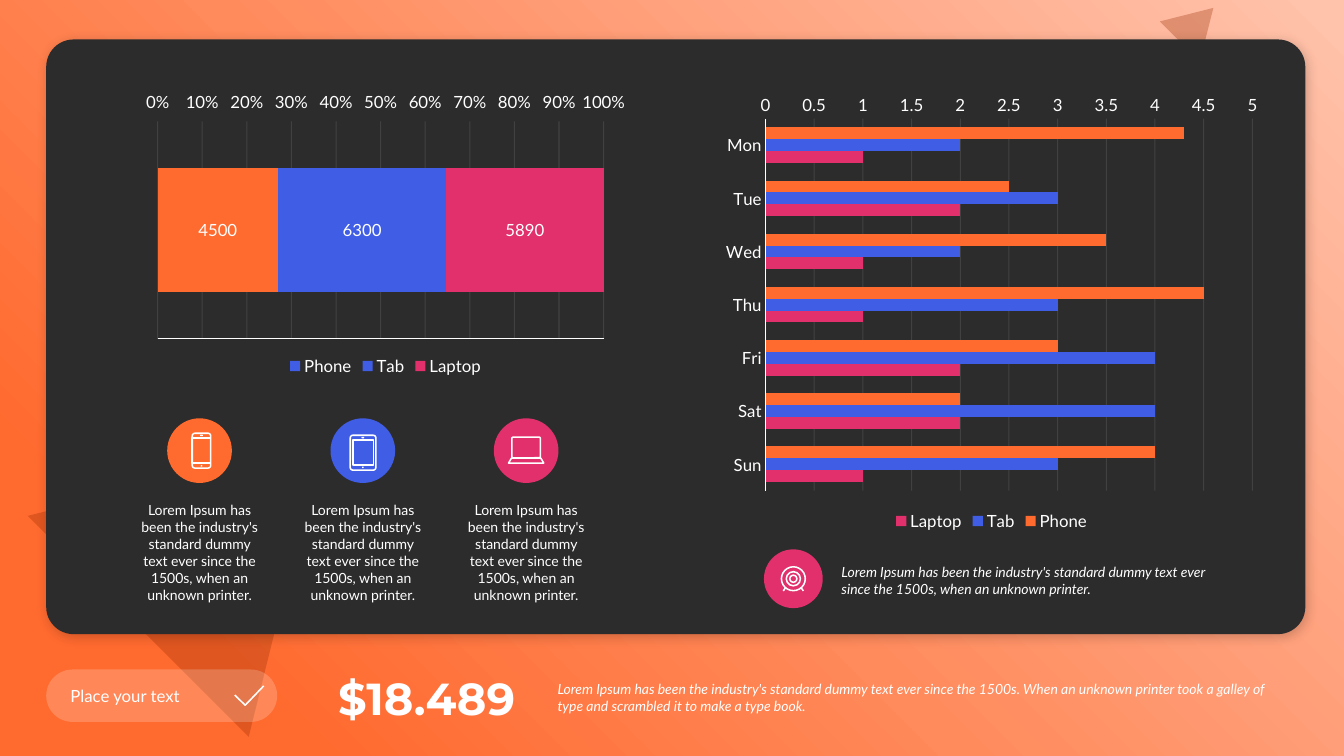
from dataclasses import dataclass

from lxml.etree import SubElement
from pptx import Presentation
from pptx.chart.data import CategoryChartData
from pptx.dml.color import RGBColor
from pptx.enum.chart import XL_CHART_TYPE as ChartType
from pptx.enum.chart import XL_LEGEND_POSITION as LegendSpot
from pptx.enum.chart import XL_TICK_LABEL_POSITION as LabelSpot
from pptx.enum.chart import XL_TICK_MARK as Tick
from pptx.enum.shapes import MSO_CONNECTOR as Connector
from pptx.enum.shapes import MSO_SHAPE as Preset
from pptx.enum.text import MSO_ANCHOR as Anchor
from pptx.enum.text import MSO_AUTO_SIZE as AutoSize
from pptx.enum.text import PP_ALIGN as Align
from pptx.oxml.ns import qn
from pptx.util import Inches, Pt

COLORS = {
    "orange": "FF6A2F", "peach": "FFC3AC", "rust": "972B00", "charcoal": "2C2C2C",
    "blue": "405DE6", "pink": "E1306C", "white": "FFFFFF", "black": "000000",
}
COLUMNS, ROWS = 160, 90  # square cells over the whole slide
CELL = Inches(7.5) / ROWS
STROKE = Pt(1.1)
DEVICE_TEXT = ("Lorem Ipsum has been the industry's standard dummy text ever since "
               "the 1500s, when an unknown printer.")
FOOTER_TEXT = ("Lorem Ipsum has been the industry's standard dummy text ever since the 1500s. "
               "When an unknown printer took a galley of type and scrambled it to make a type book.")


@dataclass(frozen=True)
class Box:
    x: float
    y: float
    w: float
    h: float

    def emu(self) -> tuple:
        return tuple(cells(v) for v in (self.x, self.y, self.w, self.h))


@dataclass(frozen=True)
class Mark:
    """One part of an icon; its box is measured from the centre of the disc."""
    preset: Preset
    box: Box
    filled: bool = False
    adj: float | None = None


@dataclass(frozen=True)
class Device:
    color: str
    marks: tuple


def cells(count: float) -> int:
    return round(count * CELL)


def rgb(name: str) -> RGBColor:
    return RGBColor.from_string(COLORS[name])


def set_alpha(element, percent: int) -> None:
    for color in element.iter(qn("a:srgbClr")):
        SubElement(color, qn("a:alpha"), val=str(percent * 1000))


def draw(preset, box: Box, fill=None, line=None, adj=None, alpha=None, rotation=0):
    shape = slide.shapes.add_shape(preset, *box.emu())
    shape.shadow.inherit = False
    shape.rotation = rotation
    if adj is not None:
        shape.adjustments[0] = adj
    if fill:
        shape.fill.solid()
        shape.fill.fore_color.rgb = rgb(fill)
    else:
        shape.fill.background()
    if line:
        shape.line.color.rgb = rgb(line)
        shape.line.width = STROKE
    else:
        shape.line.fill.background()
    if alpha:
        set_alpha(shape.element, alpha)
    return shape


def write(frame, text: str, size=10, font="Lato", bold=False, italic=False,
          align=Align.LEFT, anchor=Anchor.MIDDLE, after=0, fit=AutoSize.SHAPE_TO_FIT_TEXT) -> None:
    frame.text = text
    frame.word_wrap = True
    frame.auto_size = fit
    frame.vertical_anchor = anchor
    paragraph = frame.paragraphs[0]
    paragraph.alignment = align
    paragraph.space_after = Pt(after)
    face = paragraph.runs[0].font
    face.name, face.size, face.bold, face.italic = font, Pt(size), bold, italic
    face.color.rgb = rgb("white")


def add_text(box: Box, text: str, **fmt) -> None:
    write(slide.shapes.add_textbox(*box.emu()).text_frame, text, **fmt)


def add_disc(cx: float, cy: float, size: float, color: str, marks: tuple) -> None:
    """Draw a coloured disc with its icon."""
    draw(Preset.OVAL, Box(cx - size / 2, cy - size / 2, size, size), color)
    for mark in marks:
        box = Box(cx + mark.box.x, cy + mark.box.y, mark.box.w, mark.box.h)
        draw(mark.preset, box, fill="white" if mark.filled else None,
             line=None if mark.filled else "white", adj=mark.adj)


def add_bars(box: Box, kind, categories: list, series: dict, gap: int, number_format: str):
    data = CategoryChartData()
    data.categories = categories
    for name, (_, values) in series.items():
        data.add_series(name, values)
    chart = slide.shapes.add_chart(kind, *box.emu(), data).chart
    chart.has_title = False
    chart.font.name, chart.font.size = "Lato", Pt(12)
    chart.font.color.rgb = rgb("white")
    chart.has_legend = True
    chart.legend.position = LegendSpot.BOTTOM
    chart.legend.include_in_layout = False
    plot = chart.plots[0]
    plot.gap_width = gap
    plot.vary_by_categories = False
    for bars, (color, _) in zip(plot.series, series.values()):
        bars.format.fill.solid()
        bars.format.fill.fore_color.rgb = rgb(color)
        bars.invert_if_negative = False
    for axis in (chart.category_axis, chart.value_axis):
        axis.major_tick_mark = axis.minor_tick_mark = Tick.NONE
        axis.format.line.color.rgb = rgb("white")
    scale = chart.value_axis
    scale.tick_labels.number_format = number_format
    scale.tick_labels.number_format_is_linked = False
    scale.has_major_gridlines = True
    grid = scale.major_gridlines.format.line
    grid.color.rgb, grid.width = rgb("white"), Pt(0.75)
    for lines in chart.element.iter(qn("c:majorGridlines")):
        set_alpha(lines, 10)
    return chart


def paint_background() -> None:
    """Spread the gradient from the top right corner."""
    fill = slide.background.fill
    fill.gradient()
    for stop, color, place in zip(fill.gradient_stops, ("peach", "orange"), (0, 0.85)):
        stop.color.rgb, stop.position = rgb(color), place
    gradient = next(slide.element.iter(qn("a:gradFill")))
    gradient.remove(gradient.find(qn("a:lin")))
    spread = SubElement(gradient, qn("a:path"), {"path": "circle"})
    SubElement(spread, qn("a:fillToRect"), l="100000", b="100000")


def add_panel() -> None:
    panel = draw(Preset.ROUNDED_RECTANGLE, Box(5.5, 4.7, 149.9, 70.8), "charcoal", adj=0.046)
    effects = next(panel.element.iter(qn("a:effectLst")))
    shadow = SubElement(effects, qn("a:outerShdw"), blurRad=str(Pt(8)), dist=str(Pt(3)),
                        dir=str(45 * 60000), algn="tl", rotWithShape="0")
    SubElement(shadow, qn("a:srgbClr"), val=COLORS["black"])
    set_alpha(shadow, 20)


def add_usage_charts() -> None:
    totals = {"Phone": ("blue", [4500]), "Tab": ("blue", [6300]), "Laptop": ("pink", [5890])}
    share = add_bars(Box(16.2, 10.2, 59.4, 35.04), ChartType.BAR_STACKED_100, ["1"], totals, 75, "0%")
    share.category_axis.visible = False
    share.value_axis.tick_label_position = LabelSpot.HIGH
    stack = share.plots[0]
    stack.overlap = 100
    stack.has_data_labels = True
    stack.data_labels.show_value = True
    stack.data_labels.font.color.rgb = rgb("white")
    phone_bar = stack.series[0].points[0].format.fill
    phone_bar.solid()
    phone_bar.fore_color.rgb = rgb("orange")

    week = ["Mon", "Tue", "Wed", "Thu", "Fri", "Sat", "Sun"]
    daily = {"Phone": ("orange", [4.3, 2.5, 3.5, 4.5, 3, 2, 4]),
             "Tab": ("blue", [2, 3, 2, 3, 4, 4, 3]),
             "Laptop": ("pink", [1, 2, 1, 1, 2, 2, 1])}
    days = add_bars(Box(85.1, 10.2, 65.9, 53.5), ChartType.BAR_CLUSTERED, week, daily, 150, "General")
    days.category_axis.reverse_order = True
    days.value_axis.format.line.fill.background()


def add_target(cx: float, cy: float) -> None:
    rings = tuple(Mark(Preset.OVAL, Box(-r, -r, 2 * r, 2 * r)) for r in (1.42, 0.84, 0.42))
    add_disc(cx, cy, 7, "pink", rings)
    for side in (-1, 1):
        leg = slide.shapes.add_connector(
            Connector.STRAIGHT, cells(cx + side * 0.95), cells(cy + 1.1),
            cells(cx + side * 1.2), cells(cy + 1.45))
        leg.line.color.rgb, leg.line.width = rgb("white"), STROKE
        SubElement(leg.element.spPr, qn("a:effectLst"))


def add_check() -> None:
    start, *rest = [(cells(x), cells(y)) for x, y in ((27.95, 82.75), (29.2, 83.95), (31.4, 81.65))]
    builder = slide.shapes.build_freeform(*start)
    builder.add_line_segments(rest, close=False)
    check = builder.convert_to_shape()
    check.shadow.inherit = False
    check.fill.background()
    check.line.color.rgb, check.line.width = rgb("white"), STROKE


ROUND, RECT, OVAL = Preset.ROUNDED_RECTANGLE, Preset.RECTANGLE, Preset.OVAL
DEVICES = (
    Device("orange", (Mark(ROUND, Box(-0.87, -2.07, 2.2, 4.15), adj=0.14),
                      Mark(RECT, Box(-0.87, -1.5, 2.2, 3)),
                      Mark(ROUND, Box(0.05, -1.9, 0.36, 0.18), True, 0.5),
                      Mark(OVAL, Box(0.13, 1.72, 0.2, 0.2), True))),
    Device("blue", (Mark(ROUND, Box(-1.5, -1.83, 3.05, 4.15), adj=0.1),
                    Mark(RECT, Box(-1.2, -1.27, 2.45, 3)),
                    Mark(ROUND, Box(-0.17, -1.65, 0.34, 0.2), True, 0.5),
                    Mark(OVAL, Box(-0.1, 1.9, 0.2, 0.2), True))),
    Device("pink", (Mark(ROUND, Box(-1.7, -1.6, 3.4, 2.45), adj=0.06),
                    Mark(Preset.TRAPEZOID, Box(-2.1, 0.88, 4.2, 0.6), adj=0.6))),
)

deck = Presentation()
deck.slide_width, deck.slide_height = cells(COLUMNS), cells(ROWS)
slide = deck.slides.add_slide(deck.slide_layouts[5])
paint_background()
amount = slide.shapes.title
amount.left, amount.top, amount.width, amount.height = Box(38.3, 79.2, 24.24, 7.7).emu()
write(amount.text_frame, "$18.489", size=32, font="Montserrat", bold=True,
      align=Align.RIGHT, fit=AutoSize.NONE)
for corner in (Box(8.76, 48.24, 37.2, 30.84), Box(139.1, 0.12, 6.72, 5.64)):
    draw(Preset.ISOSCELES_TRIANGLE, corner, "rust", alpha=30, rotation=45)
add_panel()
add_usage_charts()
for order, device in enumerate(DEVICES):
    middle = 23.76 + 19.44 * order
    add_disc(middle, 53.65, 7.7, device.color, device.marks)
    add_text(Box(middle - 8.16, 59.16, 16.32, 13.3), DEVICE_TEXT,
             align=Align.CENTER, anchor=Anchor.TOP, after=6)
add_target(94.45, 68.9)
add_text(Box(99, 66.4, 48.84, 5.3), DEVICE_TEXT, italic=True)
draw(ROUND, Box(5.5, 79.7, 27.5, 6.24), "white", adj=0.5, alpha=20)
add_check()
add_text(Box(7.2, 81, 22.56, 3.6), "Place your text", size=12)
add_text(Box(65.2, 80.4, 87.96, 5.3), FOOTER_TEXT, italic=True, after=6)
deck.save("out.pptx")
